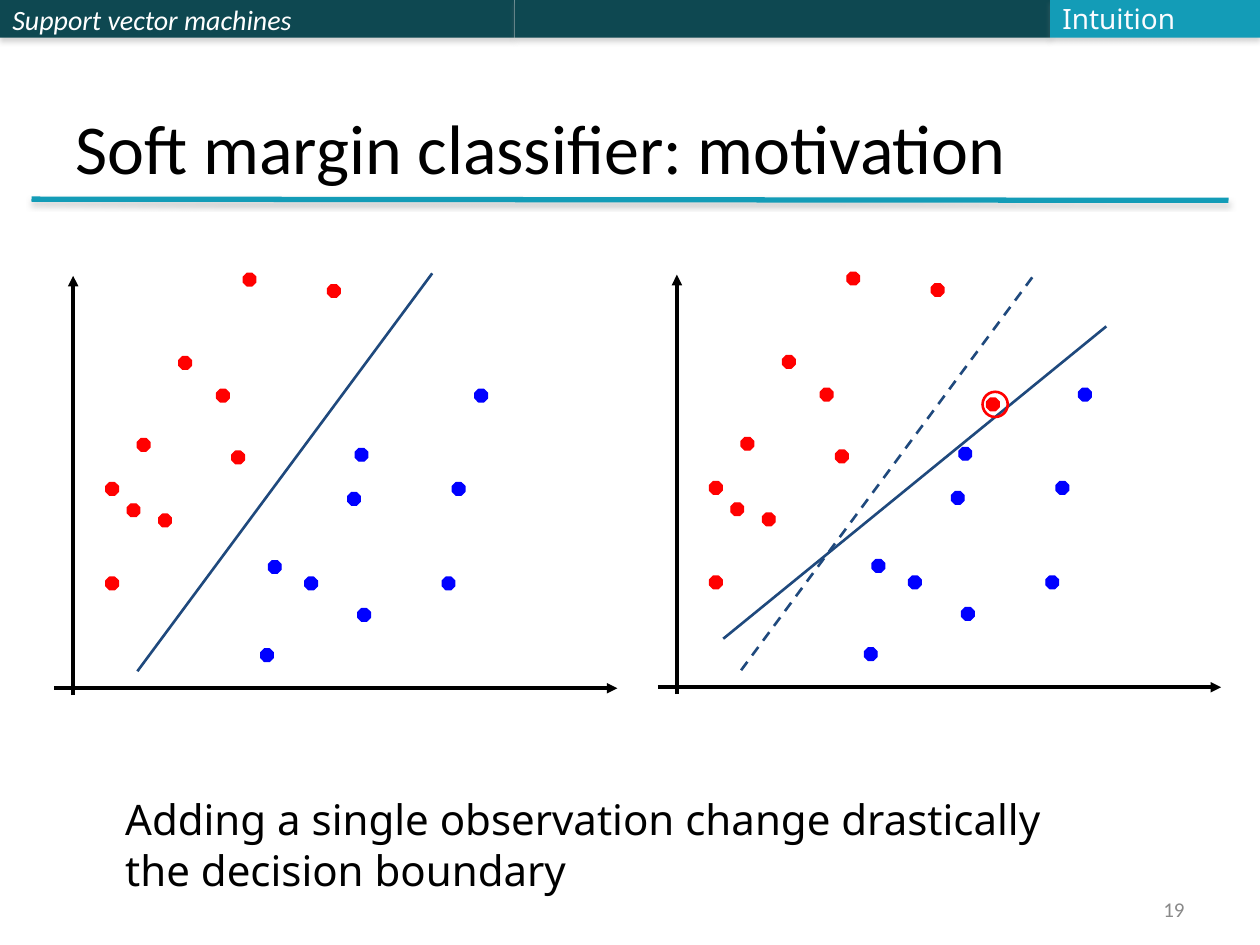
"""Build the soft margin classifier slide with two scatter sketches."""
import pptx
import pptx.util
import pptx.oxml
import pptx.dml.color
import pptx.enum.dml
import pptx.enum.shapes
import pptx.enum.text

Pt = pptx.util.Pt
Kind = pptx.enum.shapes.MSO_SHAPE
Align = pptx.enum.text.PP_ALIGN
Anchor = pptx.enum.text.MSO_ANCHOR
NS = 'xmlns:a="http://schemas.openxmlformats.org/drawingml/2006/main"'

HUES = {"dark": "0E4851", "teal": "139CB7", "red": "FF0000", "blue": "0000FF",
        "navy": "1F497D", "black": "000000", "white": "FFFFFF",
        "pale": "FBFCFF", "grey": "898989"}
BARS = [(0, 294, "dark", "Support vector machines"),
        (294, 306, "dark", ""), (600, 120, "teal", "")]
DOTS = {
    "red": [(123.8, 222.5), (78.5, 250.6), (90.7, 293.8), (60.5, 329.8),
            (102.2, 203.8), (60.5, 275.8), (72.7, 288), (132.5, 257.8),
            (139, 156.2), (187.2, 162.7)],
    "blue": [(203, 256.3), (174.2, 329.8), (252.7, 329.8), (149, 370.8),
             (198.7, 281.5), (153.4, 320.4), (204.5, 347.8),
             (258.5, 275.8), (271.4, 222.5)],
}
AXES = [(41.8, 397.3, 41.8, 157.6), (31, 393.3, 352.8, 393.3)]
OLD = (78.5, 383.6, 247, 156.2)
NEW = (68.3, 365.6, 287.2, 187.1)
EXTRA = (218.8, 228.1)
RING = (216.5, 224.5)
PLOTS = [(0, 0), (345, -0.6)]
DOT = 7.2
NOTE = ["Adding a single observation change drastically",
        "the decision boundary"]


def color(name):
    return pptx.dml.color.RGBColor.from_string(HUES[name])


def shade(item, alpha=0):
    """Give the item a soft shadow, or none when alpha is zero."""
    inner = ""
    if alpha:
        inner = (f'<a:outerShdw blurRad="{Pt(3.1)}" dist="{Pt(1.8)}" '
                 'dir="5400000" rotWithShape="0"><a:srgbClr val="808080">'
                 f'<a:alpha val="{alpha * 1000}"/></a:srgbClr></a:outerShdw>')
    item._element.spPr.append(
        pptx.oxml.parse_xml(f"<a:effectLst {NS}>{inner}</a:effectLst>"))


def add_line(ends, hue, width, alpha=0, dash=False, arrow=False):
    line = slide.shapes.add_connector(
        pptx.enum.shapes.MSO_CONNECTOR.STRAIGHT, *map(Pt, ends))
    line.line.color.rgb = color(hue)
    line.line.width = Pt(width)
    if dash:
        line.line.dash_style = pptx.enum.dml.MSO_LINE.DASH
    if arrow:
        line.line._get_or_add_ln().append(
            pptx.oxml.parse_xml(f'<a:tailEnd {NS} type="triangle"/>'))
    shade(line, alpha)


def add_form(kind, box, fill=None, edge=None, width=0.75, alpha=0):
    form = slide.shapes.add_shape(kind, *map(Pt, box))
    if fill:
        form.fill.solid()
        form.fill.fore_color.rgb = color(fill)
    else:
        form.fill.background()
    if edge:
        form.line.color.rgb = color(edge)
        form.line.width = Pt(width)
    else:
        form.line.fill.background()
    shade(form, alpha)
    return form


def add_dot(spot, hue):
    add_form(Kind.OCTAGON, (*spot, DOT, DOT), hue, hue)


def set_text(item, text, size, face, hue, anchor, align=Align.LEFT):
    frame = item.text_frame
    frame.text = text
    frame.word_wrap = True
    frame.vertical_anchor = anchor
    for para in frame.paragraphs:
        para.alignment = align
        for run in para.runs:
            run.font.size = Pt(size)
            run.font.name = face
            run.font.color.rgb = color(hue)


def add_text(box, *style):
    set_text(slide.shapes.add_textbox(*map(Pt, box)), *style)


def add_plot(shift, soft):
    dx, dy = shift

    def move(spot):
        return tuple(v + (dx, dy)[i % 2] for i, v in enumerate(spot))

    for axis in AXES:
        add_line(move(axis), "black", 2, arrow=True)
    for hue, spots in DOTS.items():
        for spot in spots:
            add_dot(move(spot), hue)
    add_line(move(OLD), "navy", 1.5, dash=soft)
    if soft:
        add_dot(move(EXTRA), "red")
        add_line(move(NEW), "navy", 1.5)
        add_form(Kind.OVAL, (*move(RING), 14.4, 14.4), None, "red", 1.5)


deck = pptx.Presentation()
deck.slide_width, deck.slide_height = Pt(720), Pt(540)
slide = deck.slides.add_slide(deck.slide_layouts[5])

for left, wide, hue, text in BARS:
    bar = add_form(Kind.RECTANGLE, (left, 0, wide, 21.6), hue, alpha=35)
    if text:
        set_text(bar, text, 16, "Calibri", "white", Anchor.MIDDLE)
        bar.text_frame.paragraphs[0].runs[0].font.italic = True
add_line((18, 113.8, 702, 114.5), "teal", 3, alpha=38)

title = slide.shapes.title
title.left, title.top, title.width, title.height = map(Pt, (36, 21.6, 648, 90))
set_text(title, "Soft margin classifier: motivation", 40, "Calibri", "black",
         Anchor.BOTTOM)

for index, shift in enumerate(PLOTS):
    add_plot(shift, index == 1)

add_text((516, 509.8, 168, 19.4), "19", 12, "Calibri", "grey",
         Anchor.MIDDLE, Align.RIGHT)
add_text((64.5, 450, 571, 94), "\n".join(NOTE), 24, "Noto Sans", "black",
         Anchor.TOP)
add_text((600, -2.9, 81, 26.6), "Intuition", 16, "Noto Sans", "pale",
         Anchor.MIDDLE)

deck.save("out.pptx")
